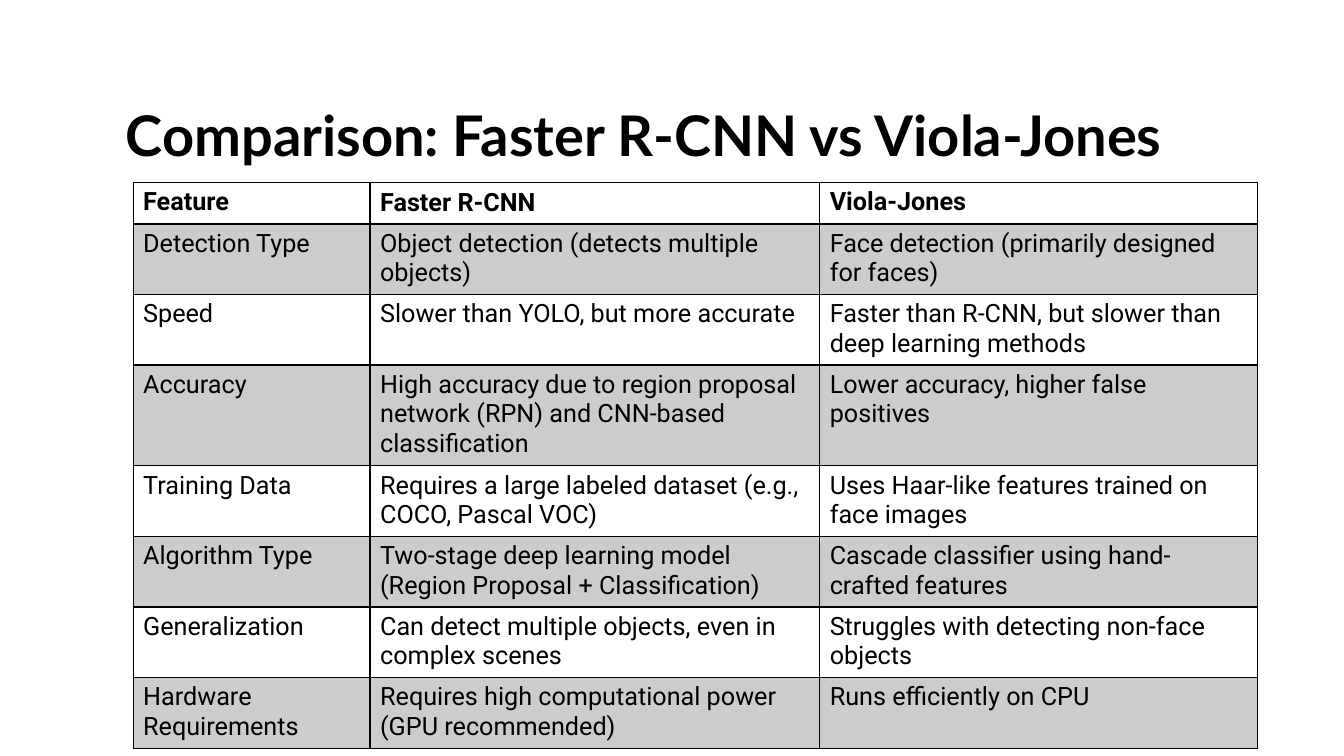
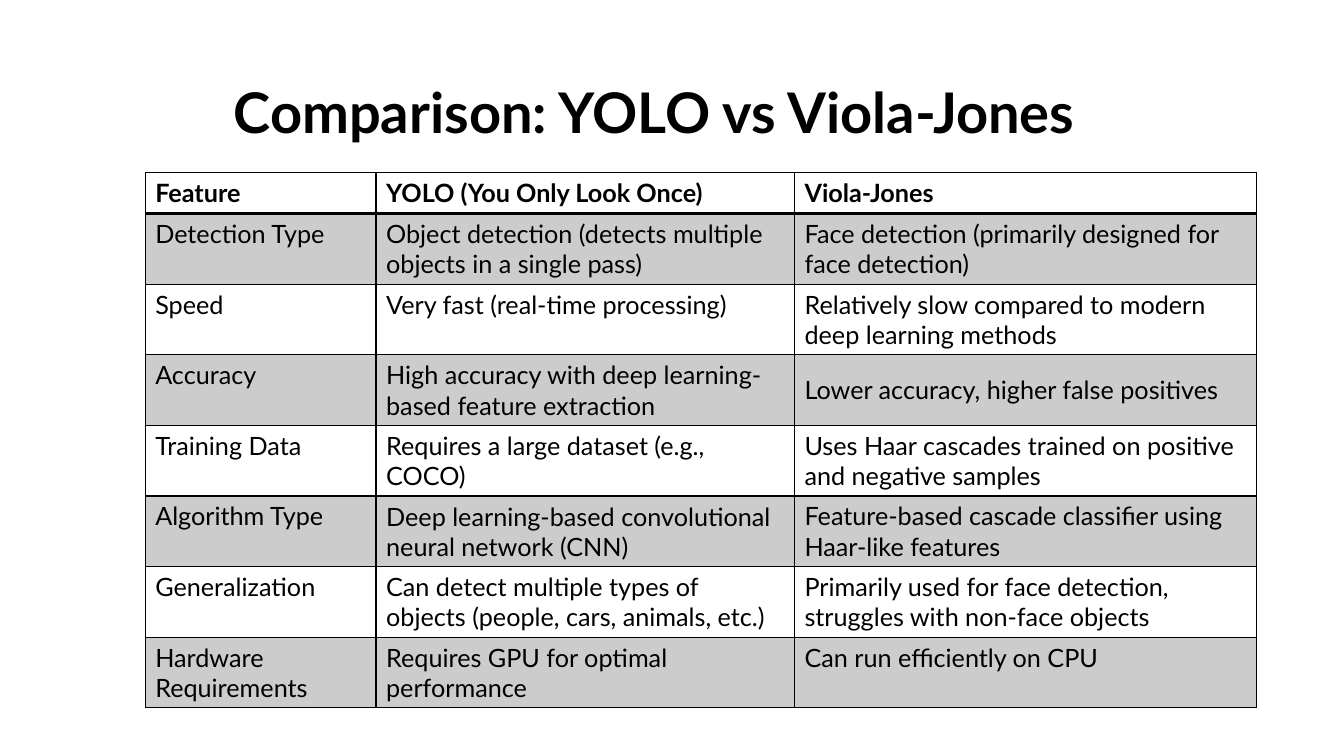
"""Build two slides that compare object detectors in ruled tables."""
from lxml.etree import fromstring
from pptx import Presentation
from pptx.dml.color import RGBColor
from pptx.enum.text import MSO_ANCHOR
from pptx.oxml.ns import nsdecls
from pptx.util import Inches, Pt

BLACK = RGBColor(0x00, 0x00, 0x00)
BAND_GREY = RGBColor(0xCC, 0xCC, 0xCC)
TITLE_FORMAT = {"name": "Lato", "size": Pt(40), "bold": True}
CELL_FORMAT = {"size": Pt(18)}
TITLE_HEIGHT = 0.77
ROW_HEIGHT = 0.41
THIN, THICK = 1, 2

FEATURES = [
    "Feature", "Detection Type", "Speed", "Accuracy", "Training Data",
    "Algorithm Type", "Generalization", "Hardware Requirements",
]

COMPARISONS = [
    {
        "title": "Comparison: Faster R-CNN vs Viola-Jones",
        "title_place": (1.15, 0.95, 11.82),
        "table_corner": (1.32, 1.81),
        "columns": (2.35, 4.46, 4.34),
        "font": "Roboto",
        "middle_cells": {(0, 1)},
        "detectors": [
            ("Faster R-CNN", "Viola-Jones"),
            ("Object detection (detects multiple objects)",
             "Face detection (primarily designed for faces)"),
            ("Slower than YOLO, but more accurate",
             "Faster than R-CNN, but slower than deep learning methods"),
            ("High accuracy due to region proposal network (RPN) and CNN-based classification",
             "Lower accuracy, higher false positives"),
            ("Requires a large labeled dataset (e.g., COCO, Pascal VOC)",
             "Uses Haar-like features trained on face images"),
            ("Two-stage deep learning model (Region Proposal + Classification)",
             "Cascade classifier using hand-crafted features"),
            ("Can detect multiple objects, even in complex scenes",
             "Struggles with detecting non-face objects"),
            ("Requires high computational power (GPU recommended)",
             "Runs efficiently on CPU"),
        ],
    },
    {
        "title": "Comparison: YOLO vs Viola-Jones",
        "title_place": (2.22, 0.72, 10.25),
        "table_corner": (1.44, 1.71),
        "columns": (2.29, 4.15, 4.58),
        "font": "Lato",
        "middle_cells": {(0, 0), (3, 1), (3, 2), (5, 1), (6, 1)},
        "detectors": [
            ("YOLO (You Only Look Once)", "Viola-Jones"),
            ("Object detection (detects multiple objects in a single pass)",
             "Face detection (primarily designed for face detection)"),
            ("Very fast (real-time processing)",
             "Relatively slow compared to modern deep learning methods"),
            ("High accuracy with deep learning-based feature extraction",
             "Lower accuracy, higher false positives"),
            ("Requires a large dataset (e.g., COCO)",
             "Uses Haar cascades trained on positive and negative samples"),
            ("Deep learning-based convolutional neural network (CNN)",
             "Feature-based cascade classifier using Haar-like features"),
            ("Can detect multiple types of objects (people, cars, animals, etc.)",
             "Primarily used for face detection, struggles with non-face objects"),
            ("Requires GPU for optimal performance", "Can run efficiently on CPU"),
        ],
    },
]


def write(paragraph, text, formats):
    span = paragraph.add_run()
    span.text = text
    span.font.color.rgb = BLACK
    for name, value in formats.items():
        setattr(span.font, name, value)


def add_title(page, text, place):
    left, top, width = map(Inches, place)
    box = page.shapes.add_textbox(left, top, width, Inches(TITLE_HEIGHT))
    box.text_frame.word_wrap = True
    write(box.text_frame.paragraphs[0], text, TITLE_FORMAT)


def add_borders(cell, row):
    widths = {
        "lnL": THIN,
        "lnR": THIN,
        "lnT": THICK if row == 1 else THIN,
        "lnB": THICK if row == 0 else THIN,
    }
    properties = cell._tc.get_or_add_tcPr()
    for position, (side, width) in enumerate(widths.items()):
        properties.insert(position, fromstring(
            f'<a:{side} {nsdecls("a")} w="{Pt(width)}"><a:solidFill>'
            f'<a:srgbClr val="{BLACK}"/></a:solidFill></a:{side}>'))


def style_cell(cell, row, middle):
    if row % 2:
        cell.fill.solid()
        cell.fill.fore_color.rgb = BAND_GREY
    else:
        cell.fill.background()
    cell.vertical_anchor = MSO_ANCHOR.MIDDLE if middle else MSO_ANCHOR.TOP
    add_borders(cell, row)


def add_comparison_table(page, comparison):
    rows = [(feature, *values)
            for feature, values in zip(FEATURES, comparison["detectors"])]
    columns = comparison["columns"]
    left, top = map(Inches, comparison["table_corner"])
    table = page.shapes.add_table(
        len(rows), len(columns), left, top,
        Inches(sum(columns)), Inches(ROW_HEIGHT * len(rows))).table
    table.first_row = table.horz_banding = False
    for column, width in zip(table.columns, columns):
        column.width = Inches(width)
    for row, texts in enumerate(rows):
        table.rows[row].height = Inches(ROW_HEIGHT)
        formats = {**CELL_FORMAT, "name": comparison["font"], "bold": row == 0}
        for column, text in enumerate(texts):
            cell = table.cell(row, column)
            write(cell.text_frame.paragraphs[0], text, formats)
            style_cell(cell, row, (row, column) in comparison["middle_cells"])


def main():
    deck = Presentation()
    deck.slide_width, deck.slide_height = Inches(13.33), Inches(7.5)
    for comparison in COMPARISONS:
        page = deck.slides.add_slide(deck.slide_layouts[6])
        add_title(page, comparison["title"], comparison["title_place"])
        add_comparison_table(page, comparison)
    deck.save("out.pptx")


if __name__ == "__main__":
    main()
